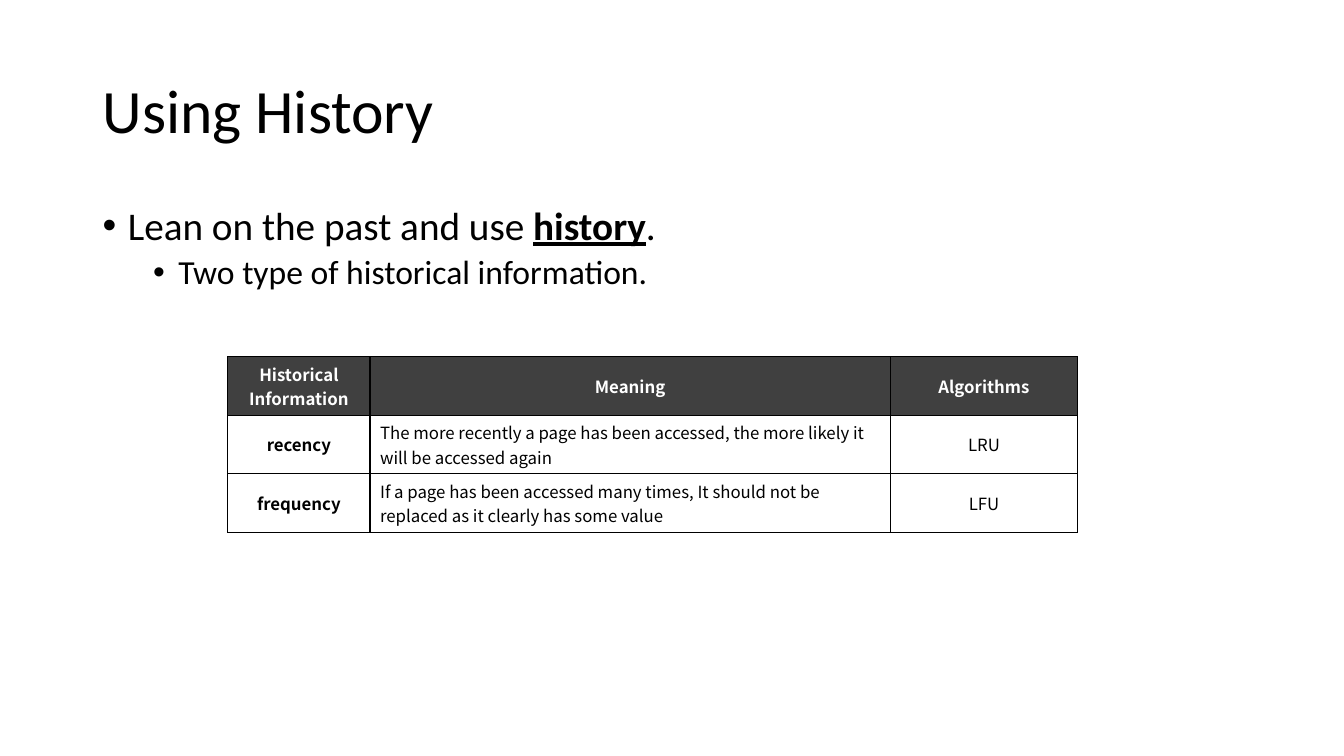
from lxml.etree import SubElement
from pptx import Presentation
from pptx.dml.color import RGBColor
from pptx.enum.text import MSO_ANCHOR, PP_ALIGN
from pptx.oxml.ns import qn
from pptx.util import Inches, Pt

BLACK = RGBColor(0x00, 0x00, 0x00)
WHITE = RGBColor(0xFF, 0xFF, 0xFF)
HEADER = RGBColor(0x40, 0x40, 0x40)
BODY_FONT = "Calibri"
TABLE_FONT = "Noto Sans CJK KR"

COLUMNS = [1.41, 5.16, 1.86]
ROWS = [
    ("Historical Information", "Meaning", "Algorithms"),
    ("recency", "The more recently a page has been accessed, "
     "the more likely it will be accessed again", "LRU"),
    ("frequency", "If a page has been accessed many times, It should not be "
     "replaced as it clearly has some value", "LFU"),
]


def add_run(p, text, size, font=BODY_FONT, color=BLACK, bold=False, underline=False):
    """Append a formatted run to a paragraph."""
    r = p.add_run()
    r.text = text
    r.font.size = Pt(size)
    r.font.name = font
    r.font.color.rgb = color
    r.font.bold = bold
    r.font.underline = underline


def add_box(slide, left, top, width, height, anchor):
    """Add a wrapping text box and return its text frame."""
    box = slide.shapes.add_textbox(Inches(left), Inches(top), Inches(width), Inches(height))
    tf = box.text_frame
    tf.word_wrap = True
    tf.vertical_anchor = anchor
    return tf


def set_bullet(p, level):
    """Give a paragraph a hanging bullet for its level."""
    p.level = level
    p.line_spacing = 0.9
    pPr = p._p.get_or_add_pPr()
    pPr.set("marL", str(Inches(0.25 + 0.5 * level)))
    pPr.set("indent", str(Inches(-0.25)))
    SubElement(pPr, qn("a:buFont"), typeface="Arial")
    SubElement(pPr, qn("a:buChar"), char="•")


def set_borders(cell):
    """Draw a thin black line on every side of a cell."""
    tcPr = cell._tc.get_or_add_tcPr()
    for side in ("a:lnL", "a:lnR", "a:lnT", "a:lnB"):
        ln = SubElement(tcPr, qn(side), w=str(Pt(1)))
        fill = SubElement(ln, qn("a:solidFill"))
        SubElement(fill, qn("a:srgbClr"), val=str(BLACK))


def add_title(slide, left, top, width, height):
    """Place the slide title."""
    p = add_box(slide, left, top, width, height, MSO_ANCHOR.MIDDLE).paragraphs[0]
    p.line_spacing = 0.9
    add_run(p, "Using History", 44)


def add_body(slide, left, top, width, height):
    """Place the bulleted text."""
    tf = add_box(slide, left, top, width, height, MSO_ANCHOR.TOP)
    p = tf.paragraphs[0]
    set_bullet(p, 0)
    add_run(p, "Lean on the past and use ", 28)
    add_run(p, "history", 28, bold=True, underline=True)
    add_run(p, ".", 28)
    p = tf.add_paragraph()
    set_bullet(p, 1)
    p.space_before = Pt(5)
    add_run(p, "Two type of historical information.", 24)


def add_history_table(slide, left, top, row_height):
    """Place the table of historical information."""
    table = slide.shapes.add_table(
        len(ROWS), len(COLUMNS), Inches(left), Inches(top),
        Inches(sum(COLUMNS)), Inches(row_height * len(ROWS))).table
    table.horz_banding = False
    for column, width in zip(table.columns, COLUMNS):
        column.width = Inches(width)
    for i, texts in enumerate(ROWS):
        header = i == 0
        for j, text in enumerate(texts):
            cell = table.cell(i, j)
            set_borders(cell)
            cell.fill.solid()
            cell.fill.fore_color.rgb = HEADER if header else WHITE
            cell.vertical_anchor = MSO_ANCHOR.MIDDLE
            p = cell.text_frame.paragraphs[0]
            p.alignment = PP_ALIGN.LEFT if j == 1 and not header else PP_ALIGN.CENTER
            add_run(p, text, 12, font=TABLE_FONT, color=WHITE if header else BLACK,
                    bold=header or j == 0)


def main():
    """Build and save the slide."""
    prs = Presentation()
    prs.slide_width = Inches(13.33)
    prs.slide_height = Inches(7.5)
    slide = prs.slides.add_slide(prs.slide_layouts[6])
    add_title(slide, 0.92, 0.4, 11.5, 1.45)
    add_body(slide, 0.92, 2, 11.5, 4.76)
    add_history_table(slide, 2.26, 3.54, 0.58)
    prs.save("out.pptx")


if __name__ == "__main__":
    main()
